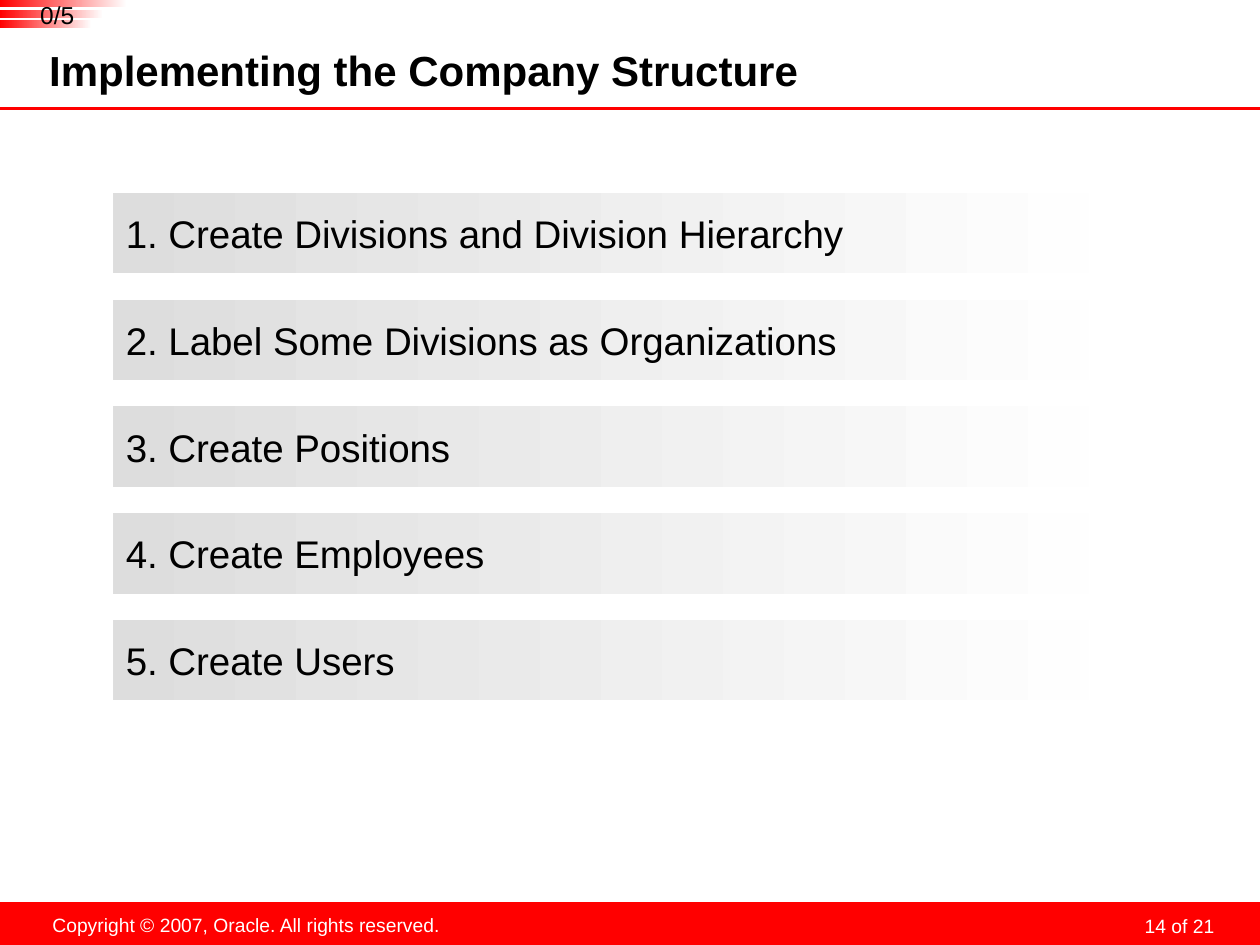
from lxml import etree
from pptx import Presentation
from pptx.dml.color import RGBColor
from pptx.enum.shapes import MSO_CONNECTOR, MSO_SHAPE
from pptx.enum.text import MSO_ANCHOR, MSO_AUTO_SIZE, PP_ALIGN
from pptx.oxml.ns import qn
from pptx.util import Inches, Pt

LEFT, CENTER, RIGHT = PP_ALIGN.LEFT, PP_ALIGN.CENTER, PP_ALIGN.RIGHT
TOP, MIDDLE = MSO_ANCHOR.TOP, MSO_ANCHOR.MIDDLE
RECTANGLE, ROUNDED = MSO_SHAPE.RECTANGLE, MSO_SHAPE.ROUNDED_RECTANGLE

COLORS = {"red": "FF0000", "white": "FFFFFF", "black": "000000",
          "pale": "FEFEFE", "gray": "DDDDDD"}
WIDTH, HEIGHT = 10, 7.5

TITLE = "Implementing the Company Structure"
STEPS = [
    "1. Create Divisions and Division Hierarchy",
    "2. Label Some Divisions as Organizations",
    "3. Create Positions",
    "4. Create Employees",
    "5. Create Users",
]
PROGRESS = "0/5"
COPYRIGHT = "Copyright © 2007, Oracle. All rights reserved."
PAGE = "14 of 21"

STEP_LEFT, STEP_TOP, STEP_WIDTH, STEP_HEIGHT, STEP_PITCH = 0.9, 1.53, 7.74, 0.64, 0.8475
STRIPE_WIDTHS, STRIPE_HEIGHT, STRIPE_PITCH = [1.01, 0.82, 0.73], 0.06, 0.08
FOOTER_HEIGHT = 0.34
RULE_TOP = 0.86


def color(name):
    return RGBColor.from_string(COLORS[name])


def box(left, top, width, height):
    return [Inches(value) for value in (left, top, width, height)]


def write(shape, text, size, ink="black", bold=False, align=LEFT, anchor=TOP,
          wrap=True, margins=(0.1, 0.05, 0.1, 0.05), paragraph_format=None):
    frame = shape.text_frame
    frame.text = text
    sides = ("margin_left", "margin_top", "margin_right", "margin_bottom")
    frame_format = {"word_wrap": wrap, "auto_size": MSO_AUTO_SIZE.NONE,
                    "vertical_anchor": anchor,
                    **dict(zip(sides, map(Inches, margins)))}
    paragraph = frame.paragraphs[0]
    font = paragraph.runs[0].font
    font.color.rgb = color(ink)
    for target, values in (
        (frame, frame_format),
        (paragraph, {"alignment": align, **(paragraph_format or {})}),
        (font, {"name": "Arial", "size": Pt(size), "bold": bold}),
    ):
        for name, value in values.items():
            setattr(target, name, value)


def add_bar(slide, preset, place, fill, fade=None):
    """Add a borderless bar that is solid, or fades rightwards from fill to fade."""
    bar = slide.shapes.add_shape(preset, *box(*place))
    bar.shadow.inherit = False
    bar.line.fill.background()
    if fade:
        bar.fill.gradient()
        bar.fill.gradient_angle = 180
        for stop, name in zip(bar.fill.gradient_stops, (fade, fill)):
            stop.color.rgb = color(name)
    else:
        bar.fill.solid()
        bar.fill.fore_color.rgb = color(fill)
    return bar


def add_text(slide, place, text, size, **options):
    write(slide.shapes.add_textbox(*box(*place)), text, size, **options)


def add_footer(slide):
    add_bar(slide, RECTANGLE, (0, HEIGHT - FOOTER_HEIGHT, WIDTH, FOOTER_HEIGHT), "red")
    add_text(slide, (7.36, 7.19, 2.33, 0.25), PAGE, 11, ink="white", align=RIGHT,
             margins=(0.05, 0, 0.05, 0), paragraph_format={"line_spacing": Pt(18)})
    add_text(slide, (0.31, 7.2, 3.29, 0.29), COPYRIGHT, 11, ink="white",
             align=CENTER, wrap=False)


def add_header(slide):
    rule = slide.shapes.add_connector(
        MSO_CONNECTOR.STRAIGHT, 0, Inches(RULE_TOP), Inches(WIDTH), Inches(RULE_TOP))
    rule.line.color.rgb = color("red")
    rule.line.width = Pt(1.75)
    etree.SubElement(rule._element.spPr, qn("a:effectLst"))

    title = slide.shapes.title
    title.left, title.top, title.width, title.height = box(0.39, 0.38, 7.87, 0.4)
    write(title, TITLE, 24, bold=True, anchor=MIDDLE, margins=(0, 0, 0.05, 0.05))

    for row, width in enumerate(STRIPE_WIDTHS):
        stripe = add_bar(slide, ROUNDED, (0, row * STRIPE_PITCH, width, STRIPE_HEIGHT),
                         "red", fade="white")
        stripe.adjustments[0] = 0
    add_text(slide, (0.2, 0, 0.51, 0.23), PROGRESS, 14, align=CENTER,
             margins=(0, 0, 0, 0))


def add_steps(slide):
    for row, step in enumerate(STEPS):
        place = (STEP_LEFT, STEP_TOP + row * STEP_PITCH, STEP_WIDTH, STEP_HEIGHT)
        bar = add_bar(slide, RECTANGLE, place, "gray", fade="pale")
        write(bar, step, 22, anchor=MIDDLE, wrap=False)


def main():
    presentation = Presentation()
    presentation.slide_width = Inches(WIDTH)
    presentation.slide_height = Inches(HEIGHT)
    slide = presentation.slides.add_slide(presentation.slide_layouts[5])
    add_footer(slide)
    add_header(slide)
    add_steps(slide)
    presentation.save("out.pptx")


if __name__ == "__main__":
    main()
